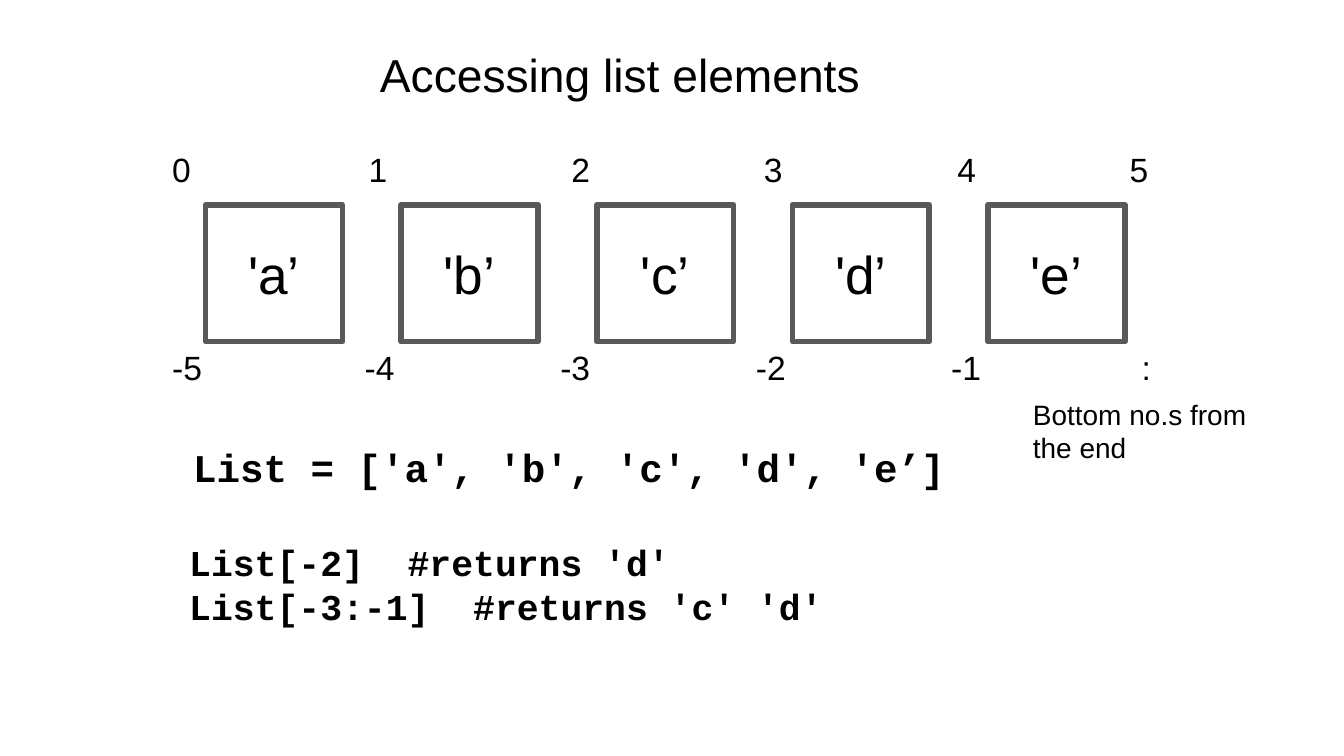
from pptx import Presentation
from pptx.dml.color import RGBColor
from pptx.enum.shapes import MSO_SHAPE
from pptx.enum.text import MSO_ANCHOR, MSO_AUTO_SIZE, PP_ALIGN
from pptx.util import Cm, Pt


def color(hex_code):
    """Turn a hex string into a colour."""
    return RGBColor.from_string(hex_code)


def write(sp, lines, size, name="Arial", bold=False, wrap=False,
          anchor=MSO_ANCHOR.TOP, align=PP_ALIGN.LEFT):
    """Fill a shape with lines of text in one format."""
    tf = sp.text_frame
    frame_format = {"word_wrap": wrap, "vertical_anchor": anchor,
                    "auto_size": MSO_AUTO_SIZE.NONE}
    for key, value in frame_format.items():
        setattr(tf, key, value)
    for i, line in enumerate(lines):
        p = tf.add_paragraph() if i else tf.paragraphs[0]
        p.alignment = align
        r = p.add_run()
        r.text = line
        for key, value in {"size": Pt(size), "name": name, "bold": bold}.items():
            setattr(r.font, key, value)
        r.font.color.rgb = color("000000")


prs = Presentation()
prs.slide_width, prs.slide_height = Cm(33.87), Cm(19.05)
s = prs.slides.add_slide(prs.slide_layouts[5])

# Title
title = s.shapes.title
title.left, title.top, title.width, title.height = Cm(9.32), Cm(1.04), Cm(12.93), Cm(1.68)
write(title, ["Accessing list elements"], 33)

# List elements in evenly spaced boxes
box_left, box_top, box_size, step = 5.18, 5.16, 3.45, 4.93
for i, letter in enumerate("abcde"):
    box = s.shapes.add_shape(MSO_SHAPE.RECTANGLE, Cm(box_left + i * step),
                             Cm(box_top), Cm(box_size), Cm(box_size))
    box.shadow.inherit = False
    box.fill.background()
    box.line.color.rgb = color("595959")
    box.line.width = Pt(4)
    write(box, [f"'{letter}’"], 38, anchor=MSO_ANCHOR.MIDDLE, align=PP_ALIGN.CENTER)

# Indices from the start above the boxes, from the end below them
index_rows = [
    (3.63, 0.99, ["0", "1", "2", "3", "4", "5"], [4.09, 9.04, 14.15, 19, 23.88, 28.22]),
    (8.61, 1.27, ["-5", "-4", "-3", "-2", "-1"], [4.09, 8.94, 13.87, 18.8, 23.72]),
    (8.61, 0.74, [":"], [28.52]),
]
for top, width, labels, lefts in index_rows:
    for label, left in zip(labels, lefts):
        index = s.shapes.add_textbox(Cm(left), Cm(top), Cm(width), Cm(1.27))
        write(index, [label], 24)

note = s.shapes.add_textbox(Cm(25.78), Cm(9.88), Cm(6.22), Cm(1.96))
write(note, ["Bottom no.s from the end"], 20, wrap=True)

# Code, indented by the left margin of its box
code_blocks = [
    (2.08, 11.05, 22.2, 2.64, 28, ["List = ['a', 'b', 'c', 'd', 'e’]"]),
    (1.98, 13.49, 19.69, 3.58, 26, ["List[-2]  #returns 'd'",
                                    "List[-3:-1]  #returns 'c' 'd'"]),
]
for left, top, width, height, size, lines in code_blocks:
    code = s.shapes.add_textbox(Cm(left), Cm(top), Cm(width), Cm(height))
    code.text_frame.margin_left = Cm(2.79)
    write(code, lines, size, "Courier New", bold=True, wrap=True)

prs.save("out.pptx")
